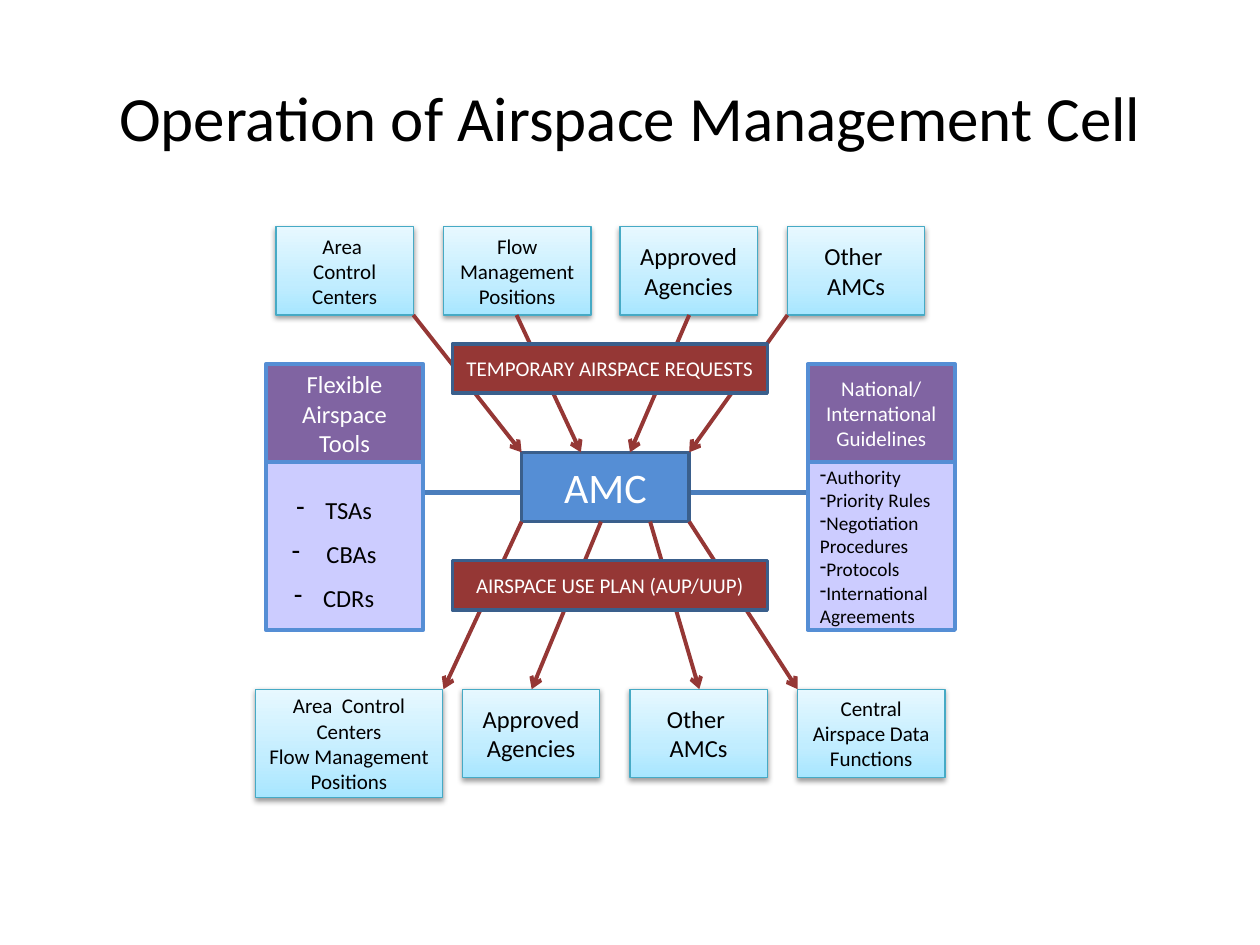
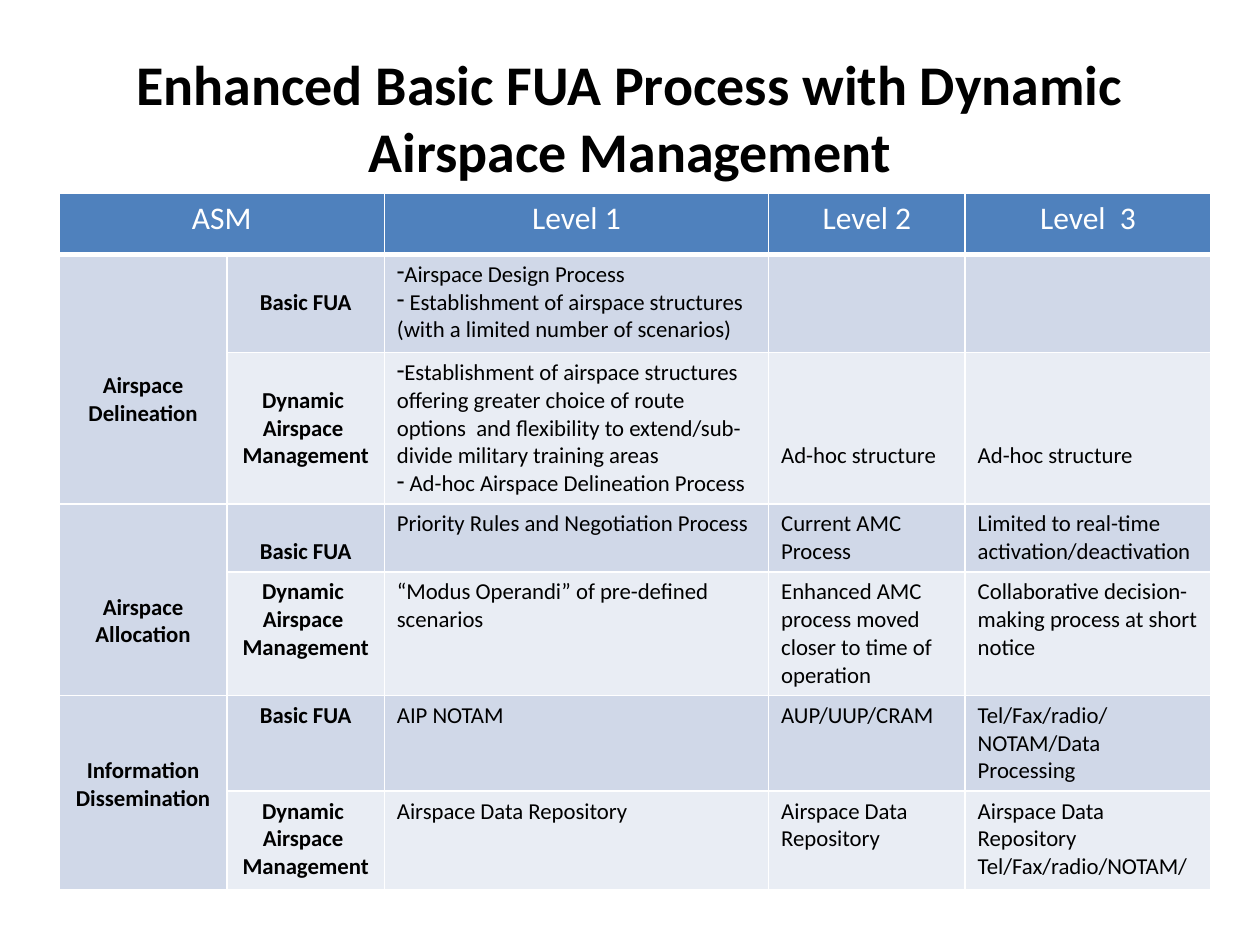
"""Build two slides on airspace management: a cell diagram and a process table."""
from lxml import etree
from pptx import Presentation
from pptx.dml.color import RGBColor as Rgb
from pptx.enum.shapes import MSO_CONNECTOR as Conn, MSO_SHAPE as Form
from pptx.enum.text import MSO_ANCHOR as Anchor, PP_ALIGN as Align
from pptx.oxml.ns import qn
from pptx.util import Inches, Pt

HUES = {
    "black": "000000", "white": "FFFFFF", "hub": "558ED5", "edge": "3A5F8C",
    "link": "4B7EBC", "red": "953735", "plum": "8064A2", "lilac": "CCCCFF",
    "teal": "46AAC5", "head": "4F81BD", "dark": "D0D8E8", "pale": "E9EDF4",
}
FADE = [(0, "A7E6FF"), (35, "C1EDFF"), (100, "E7F8FF")]
FONT = "Calibri"
TITLES = [("Operation of Airspace Management Cell", 36, False),
          ("Enhanced Basic FUA Process with Dynamic Airspace Management", 32, True)]

TOP, LOW = 1.8, 5.47
UNITS = [
    (2.19, TOP, 1.09, 0.7, 12, ["Area ", "Control", "Centers"]),
    (3.52, TOP, 1.17, 0.7, 12, ["Flow Management Positions"]),
    (4.92, TOP, 1.09, 0.7, 14, ["Approved Agencies"]),
    (6.25, TOP, 1.09, 0.7, 14, ["Other ", "AMCs"]),
    (2.03, LOW, 1.48, 0.86, 12,
     ["Area  Control", "Centers", "Flow Management Positions"]),
    (3.67, LOW, 1.09, 0.7, 14, ["Approved Agencies"]),
    (5, LOW, 1.09, 0.7, 14, ["Other ", "AMCs"]),
    (6.33, LOW, 1.17, 0.7, 12, ["Central Airspace Data Functions"]),
]
SIDES = [
    {"left": 2.11, "wide": 1.25, "size": 14, "head": ["Flexible Airspace Tools"],
     "small": 14, "items": ["TSAs", " CBAs", "CDRs"], "hang": (0.06, -0.23),
     "form": {"alignment": Align.CENTER, "line_spacing": 1.5}},
    {"left": 6.41, "wide": 1.17, "size": 12,
     "head": ["National/", "International Guidelines"], "small": 11,
     "items": ["Authority", "Priority Rules", "Negotiation Procedures",
               "Protocols", "International Agreements "],
     "hang": (0, 0), "form": {"alignment": Align.LEFT}},
]
HUB = (4.14, 3.59, 1.33, 0.55)
BANDS = [(2.73, "TEMPORARY AIRSPACE REQUESTS"), (4.45, "AIRSPACE USE PLAN (AUP/UUP)")]
FLOWS = [
    (2.5, 3.59, [(3.28, 4.14), (4.1, 4.61), (5.47, 5), (6.25, 5.47)]),
    (4.14, LOW, [(4.14, 3.52), (4.77, 4.22), (5.16, 5.55), (5.47, 6.33)]),
]

COLS = [1.33, 1.25, 3.05, 1.56, 1.95]
ROWS = [0.49, 0.78, 1.2, 0.54, 0.98, 0.76, 0.78]
HEADS = ["ASM", "", "Level 1", "Level 2", "Level  3"]
TOPICS = [("Airspace Delineation", 4), ("Airspace Allocation", 3),
          ("Information Dissemination", 2)]
KINDS = [["Basic FUA"], ["Dynamic ", "Airspace ", "Management"]]
DROPS = [1, 1, 1, 0, 0, 0]
FACTS = [
    [["-Airspace Design Process",
      "- Establishment of airspace structures (with a limited number of scenarios)"],
     [], []],
    [["-Establishment of airspace structures offering greater choice of route options"
      "  and flexibility to extend/sub-divide military training areas",
      "- Ad-hoc Airspace Delineation Process"],
     ["Ad-hoc structure"], ["Ad-hoc structure"]],
    [["Priority Rules and Negotiation Process"], ["Current AMC Process"],
     ["Limited to real-time activation/deactivation"]],
    [["“Modus Operandi” of pre-defined scenarios"],
     ["Enhanced AMC process moved closer to time of operation"],
     ["Collaborative decision-making process at short notice"]],
    [["AIP NOTAM"], ["AUP/UUP/CRAM"], ["Tel/Fax/radio/NOTAM/Data Processing"]],
    [["Airspace Data Repository"], ["Airspace Data Repository"],
     ["Airspace Data Repository", "Tel/Fax/radio/NOTAM/"]],
]
LINE = 0.22


def put(item, vals):
    for key, val in vals.items():
        setattr(item, key, val)


def node(base, tag, **vals):
    return etree.SubElement(base, qn(tag), {k: str(v) for k, v in vals.items()})


def paint(fill, hue):
    fill.solid()
    fill.fore_color.rgb = Rgb.from_string(HUES[hue])


def write(frame, lines, size, hue="black", bold=False, form=None, hang=None):
    form = form or {"alignment": Align.CENTER}
    for num, line in enumerate(lines):
        para = frame.add_paragraph() if num else frame.paragraphs[0]
        put(para, form)
        dash = line.startswith("-")
        if hang or dash:
            left, turn = hang or (0, 0)
            prop = para._p.get_or_add_pPr()
            prop.set("marL", str(Inches(left)))
            prop.set("indent", str(Inches(turn)))
            node(prop, "a:buChar", char="-")
        run = para.add_run()
        run.text = line[1:] if dash else line
        put(run.font, {"name": FONT, "size": Pt(size), "bold": bold})
        run.font.color.rgb = Rgb.from_string(HUES[hue])


def page(deck, text, size, bold):
    slide = deck.slides.add_slide(deck.slide_layouts[6])
    box = slide.shapes.add_textbox(*map(Inches, (0.5, 0.3, 9, 1.25)))
    put(box.text_frame, {"word_wrap": True, "vertical_anchor": Anchor.MIDDLE})
    write(box.text_frame, [text], size, bold=bold)
    return slide


def block(slide, spot, fill, edge, width, lines, size, hue="black", **more):
    box = slide.shapes.add_shape(Form.RECTANGLE, *map(Inches, spot))
    box.shadow.inherit = False
    if fill:
        paint(box.fill, fill)
    paint(box.line.fill, edge)
    box.line.width = Pt(width)
    put(box.text_frame, {"word_wrap": True, "vertical_anchor": Anchor.MIDDLE})
    write(box.text_frame, lines, size, hue, **more)
    return box


def glow(box):
    box.fill.gradient()
    box.fill.gradient_angle = 90
    prop = box._element.spPr
    stops = prop.find(".//" + qn("a:gsLst"))
    for old in list(stops):
        stops.remove(old)
    for pos, code in FADE:
        node(node(stops, "a:gs", pos=pos * 1000), "a:srgbClr", val=code)
    shade = node(prop.find(qn("a:effectLst")), "a:outerShdw", blurRad=Pt(3.1),
                 dist=Pt(1.6), dir=5400000, rotWithShape=0)
    node(node(shade, "a:srgbClr", val=HUES["black"]), "a:alpha", val=38000)


def wire(slide, ends, hue, width, arrow=False):
    line = slide.shapes.add_connector(Conn.STRAIGHT, *map(Inches, ends))
    paint(line.line.fill, hue)
    line.line.width = Pt(width)
    node(line._element.spPr, "a:effectLst")
    if arrow:
        node(line.line._get_or_add_ln(), "a:tailEnd", type="arrow")


def chart(slide):
    wire(slide, (3.36, 3.91, 6.41, 3.91), "link", 3)
    block(slide, HUB, "hub", "edge", 2, ["AMC"], 24, "white")
    for side in SIDES:
        left, wide = side["left"], side["wide"]
        block(slide, (left, 2.89, wide, 0.78), "plum", "hub", 2.25,
              side["head"], side["size"], "white")
        block(slide, (left, 3.67, wide, 1.33), "lilac", "hub", 2.25,
              side["items"], side["small"], form=side["form"], hang=side["hang"])
    for *spot, size, lines in UNITS:
        glow(block(slide, spot, None, "teal", 0.75, lines, size))
    for start, stop, pairs in FLOWS:
        for near, far in pairs:
            wire(slide, (near, start, far, stop), "red", 2.25, True)
    for top, text in BANDS:
        block(slide, (3.59, top, 2.5, 0.39), "red", "edge", 2, [text], 12, "white")


def dress(cell, fill, tops, base):
    prop = cell._tc.get_or_add_tcPr()
    for side, width in zip("LRTB", (1, 1, tops, base)):
        edge = node(prop, "a:ln" + side, w=Pt(width))
        node(node(edge, "a:solidFill"), "a:srgbClr", val=HUES["white"])
    paint(cell.fill, fill)


def drop(cell, count):
    cell.margin_top = Inches(0.05 + count * LINE)


def table(slide):
    spot = (0.47, 1.53, sum(COLS), sum(ROWS))
    grid = slide.shapes.add_table(len(ROWS), len(COLS), *map(Inches, spot)).table
    for col, wide in zip(grid.columns, COLS):
        col.width = Inches(wide)
    for row, high in zip(grid.rows, ROWS):
        row.height = Inches(high)
    for r in range(len(ROWS)):
        for c in range(len(COLS)):
            fill = "head" if r == 0 else "dark" if r % 2 or c == 0 else "pale"
            dress(grid.cell(r, c), fill, 3 if r == 1 else 1, 1 if r else 3)
    for c, text in enumerate(HEADS):
        if text:
            write(grid.cell(0, c).text_frame, [text], 18, "white")
    grid.cell(0, 0).merge(grid.cell(0, 1))
    for num, (text, count) in enumerate(TOPICS):
        cell = grid.cell(2 * num + 1, 0)
        cell.merge(grid.cell(2 * num + 2, 0))
        drop(cell, count)
        write(cell.text_frame, [text], 13, bold=True)
    for r, facts in enumerate(FACTS):
        kind = grid.cell(r + 1, 1)
        drop(kind, DROPS[r])
        write(kind.text_frame, KINDS[r % 2], 13, bold=True)
        for c, lines in enumerate(facts, 2):
            cell = grid.cell(r + 1, c)
            drop(cell, 3 if lines == ["Ad-hoc structure"] else 0)
            write(cell.text_frame, lines, 13, form={"alignment": Align.LEFT})


deck = Presentation()
put(deck, {"slide_width": Inches(10), "slide_height": Inches(7.5)})
for title, draw in zip(TITLES, (chart, table)):
    draw(page(deck, *title))
deck.save("out.pptx")
